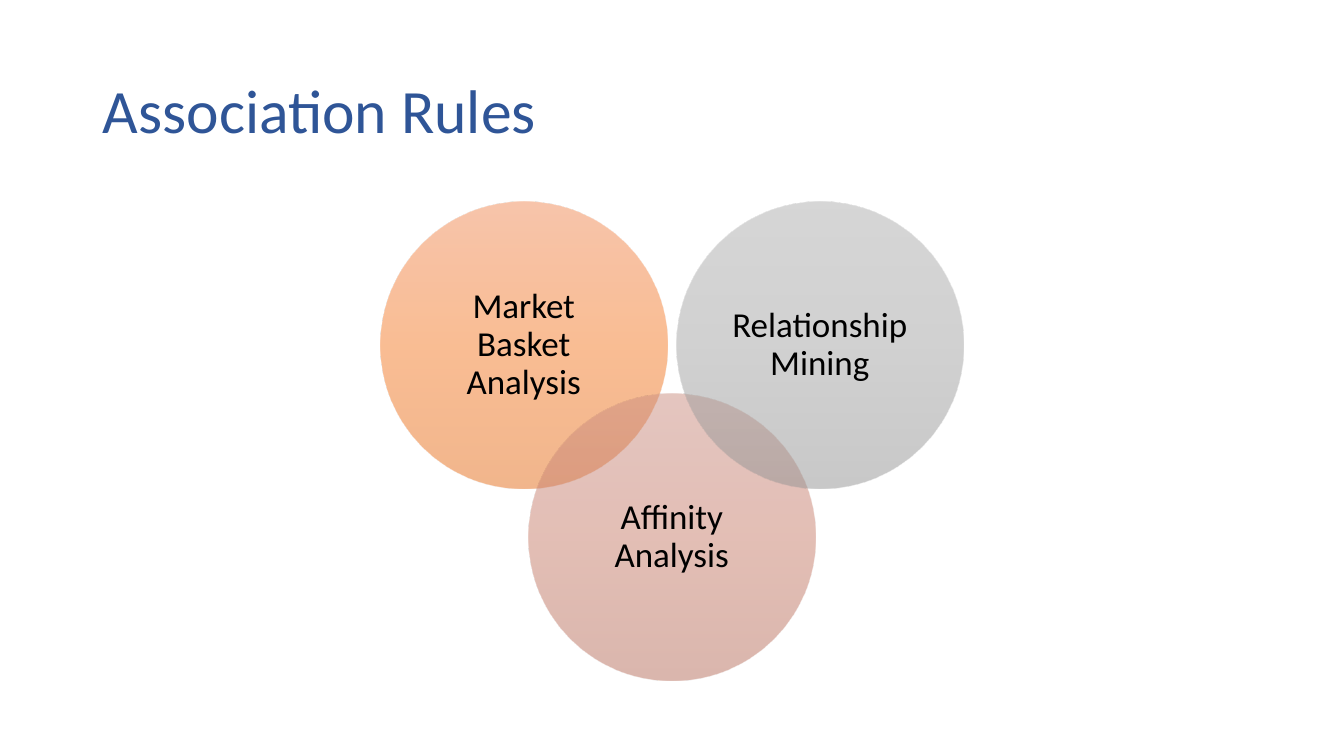
from copy import deepcopy

from lxml.etree import SubElement
from pptx import Presentation
from pptx.dml.color import RGBColor
from pptx.enum.shapes import MSO_SHAPE
from pptx.enum.text import MSO_ANCHOR, PP_ALIGN
from pptx.oxml.ns import qn
from pptx.util import Cm, Pt


def color(hex_value):
    return RGBColor.from_string(hex_value)


def write(frame, text, size, hex_value, align):
    frame.text = text
    frame.word_wrap = True
    frame.vertical_anchor = MSO_ANCHOR.MIDDLE
    paragraph = frame.paragraphs[0]
    paragraph.alignment = align
    paragraph.line_spacing = 0.9
    font_format = {"name": "Calibri", "size": Pt(size), "bold": False}
    for key, value in font_format.items():
        setattr(paragraph.runs[0].font, key, value)
    paragraph.runs[0].font.color.rgb = color(hex_value)


deck = Presentation()
deck.slide_width, deck.slide_height = Cm(33.87), Cm(19.05)
slide = deck.slides.add_slide(deck.slide_layouts[5])

heading = slide.shapes.title
heading_box = {"left": Cm(2.34), "top": Cm(1.02), "width": Cm(29.21), "height": Cm(3.68)}
for key, value in heading_box.items():
    setattr(heading, key, value)
write(heading.text_frame, "Association Rules", 44, "2F5597", PP_ALIGN.LEFT)

diameter = Cm(7.24)
first_left, column_step = 9.58, 3.73
upper_top, lower_top = 5.08, 9.91
insets = dict.fromkeys(["margin_left", "margin_top", "margin_right", "margin_bottom"], Cm(0.25))

techniques = [
    ("Market Basket Analysis", 0, upper_top, ["F18C57", "F67B28", "E56C19"]),
    ("Affinity Analysis", 1, lower_top, ["CB8F81", "C97E6B", "B76D5B"]),
    ("Relationship Mining", 2, upper_top, ["AFAFAF", "A5A5A5", "939393"]),
]

for technique, column, top, shades in techniques:
    left = first_left + column * column_step
    circle = slide.shapes.add_shape(MSO_SHAPE.OVAL, Cm(left), Cm(top), diameter, diameter)
    circle.shadow.inherit = False
    circle.line.fill.background()
    circle.fill.gradient()
    circle.fill.gradient_angle = 270
    stop_list = circle._element.spPr.find(".//" + qn("a:gsLst"))
    stop_list.append(deepcopy(stop_list[0]))
    for index, (stop, shade) in enumerate(zip(circle.fill.gradient_stops, shades)):
        stop.position = index / 2
        stop.color.rgb = color(shade)
        SubElement(stop_list[index][0], qn("a:alpha"), val="50000")
    for key, value in insets.items():
        setattr(circle.text_frame, key, value)
    write(circle.text_frame, technique, 25, "000000", PP_ALIGN.CENTER)

deck.save("out.pptx")
